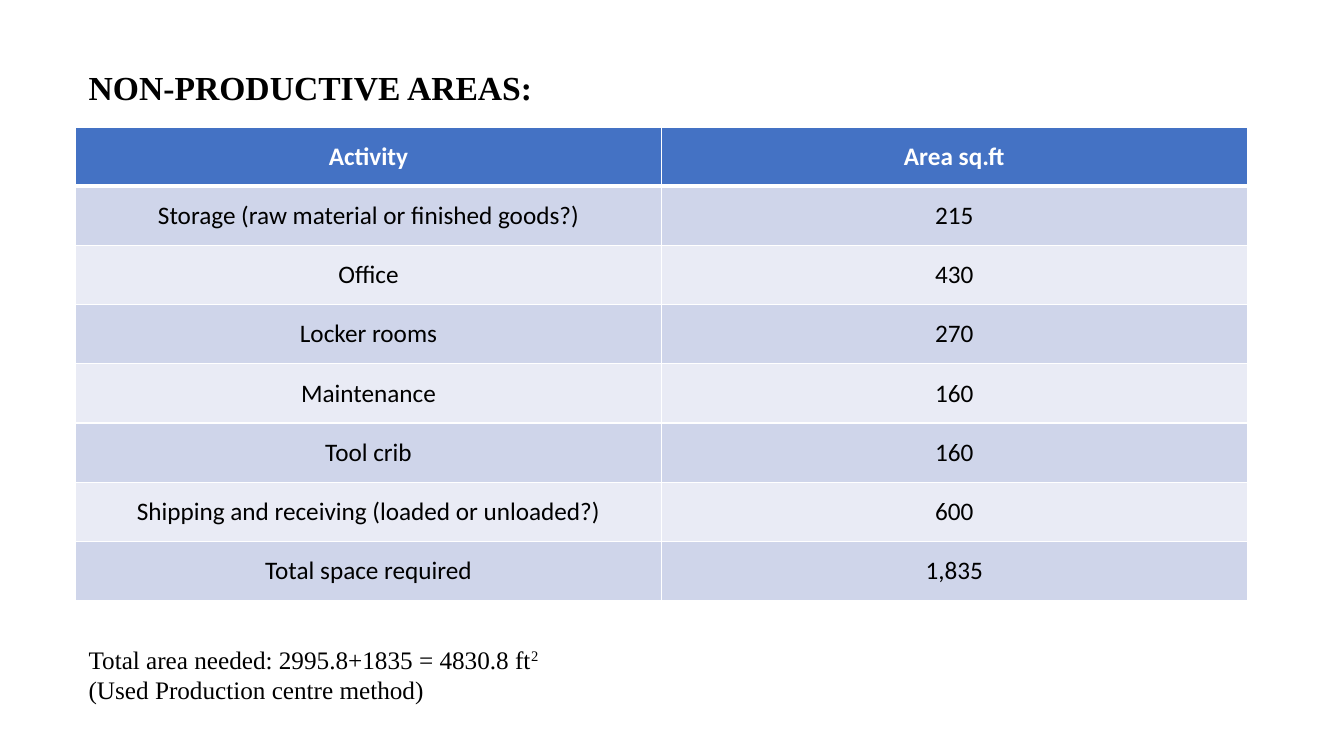
from dataclasses import dataclass

from lxml.etree import SubElement
from pptx import Presentation
from pptx.dml.color import RGBColor
from pptx.enum.text import MSO_ANCHOR, PP_ALIGN
from pptx.oxml import parse_xml
from pptx.oxml.ns import qn
from pptx.util import Inches, Pt


@dataclass(frozen=True)
class Theme:
    heading: str = "4472C4"
    bands: tuple = ("CFD5EA", "E9EBF5")
    white: str = "FFFFFF"
    black: str = "000000"
    serif: str = "Times New Roman"
    sans: str = "Calibri"
    title_size: int = 24
    text_size: int = 18


THEME = Theme()
ROWS = [
    ("Activity", "Area sq.ft"),
    ("Storage (raw material or finished goods?)", "215"),
    ("Office", "430"),
    ("Locker rooms", "270"),
    ("Maintenance", "160"),
    ("Tool crib", "160"),
    ("Shipping and receiving (loaded or unloaded?)", "600"),
    ("Total space required", "1,835"),
]


def add_text(p, text, font=THEME.serif, size=THEME.text_size, color=THEME.black,
             bold=False, align=PP_ALIGN.LEFT, baseline=0):
    p.alignment = align
    r = p.add_run()
    r.text = text
    r.font.name = font
    r.font.size = Pt(size)
    r.font.bold = bold
    r.font.color.rgb = RGBColor.from_string(color)
    if baseline:
        r._r.get_or_add_rPr().set("baseline", str(baseline * 1000))


def set_borders(cell, bottom=1):
    tcPr = cell._tc.get_or_add_tcPr()
    for side, width in (("L", 1), ("R", 1), ("T", 1), ("B", bottom)):
        ln = SubElement(tcPr, qn(f"a:ln{side}"), w=str(Pt(width)))
        fill = SubElement(ln, qn("a:solidFill"))
        SubElement(fill, qn("a:srgbClr"), val=THEME.white)


def add_title(s, left, top, width, height):
    title = s.shapes.title
    title.left, title.top = Inches(left), Inches(top)
    title.width, title.height = Inches(width), Inches(height)
    tf = title.text_frame
    tf.word_wrap = True
    tf.vertical_anchor = MSO_ANCHOR.TOP
    add_text(tf.paragraphs[0], "NON-PRODUCTIVE AREAS:", size=THEME.title_size, bold=True)


def add_area_table(s, left, top, width, height):
    table = s.shapes.add_table(len(ROWS), len(ROWS[0]), Inches(left), Inches(top),
                               Inches(width), Inches(height)).table
    for i, row in enumerate(ROWS):
        head = i == 0
        for j, text in enumerate(row):
            cell = table.cell(i, j)
            cell.margin_left = cell.margin_right = 0
            cell.margin_top = cell.margin_bottom = 0
            cell.vertical_anchor = MSO_ANCHOR.MIDDLE
            set_borders(cell, bottom=3 if head else 1)
            cell.fill.solid()
            color = THEME.heading if head else THEME.bands[(i - 1) % 2]
            cell.fill.fore_color.rgb = RGBColor.from_string(color)
            add_text(cell.text_frame.paragraphs[0], text, font=THEME.sans, bold=head,
                     color=THEME.white if head else THEME.black, align=PP_ALIGN.CENTER)


def add_total(s, left, top, width, height):
    tf = s.shapes.add_textbox(Inches(left), Inches(top),
                              Inches(width), Inches(height)).text_frame
    tf.word_wrap = True
    p = tf.paragraphs[0]
    add_text(p, "Total area needed: 2995.8+1835 = 4830.8 ft")
    add_text(p, "2", baseline=30)
    add_text(tf.add_paragraph(), "(Used Production centre method)")


def main():
    prs = Presentation()
    prs.slide_width, prs.slide_height = Inches(13.33), Inches(7.5)
    s = prs.slides.add_slide(prs.slide_layouts.get_by_name("Title Only"))
    add_title(s, 0.78, 0.61, 4.72, 0.5)
    add_area_table(s, 0.75, 1.26, 11.62, 4.7)
    add_total(s, 0.78, 6.34, 5.12, 1.01)
    prs.save("out.pptx")


if __name__ == "__main__":
    main()
